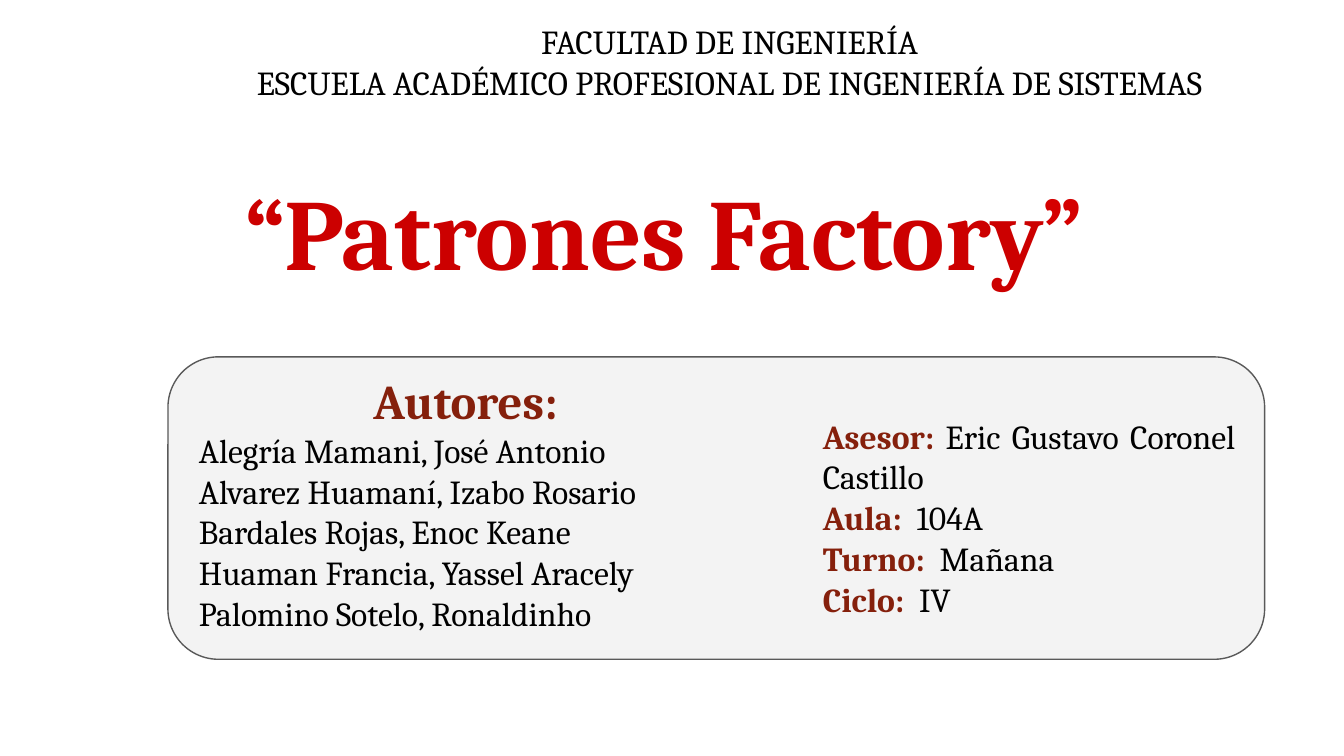
from dataclasses import dataclass

from pptx import Presentation
from pptx.dml.color import RGBColor
from pptx.enum.shapes import MSO_SHAPE as Shape
from pptx.enum.text import MSO_ANCHOR as Anchor, PP_ALIGN as Align
from pptx.slide import Slide
from pptx.util import Pt

FONT = "Cambria"
BLACK = RGBColor(0x00, 0x00, 0x00)
WHITE = RGBColor(0xFF, 0xFF, 0xFF)
RED = RGBColor(0xCC, 0x00, 0x00)
BRIGHT_RED = RGBColor(0xD5, 0x00, 0x00)
BROWN = RGBColor(0x85, 0x20, 0x0C)
PANEL_FILL = RGBColor(0xF3, 0xF3, 0xF3)
PANEL_LINE = RGBColor(0x59, 0x59, 0x59)
INSET = 7.2


@dataclass(frozen=True)
class Span:
    text: str
    color: RGBColor = BLACK
    size: float = 18
    bold: bool = False


@dataclass(frozen=True)
class Para:
    spans: tuple[Span, ...]
    align: Align = Align.CENTER
    before: float = 0


@dataclass(frozen=True)
class Area:
    left: float
    top: float
    width: float
    height: float

    def lengths(self) -> tuple[Pt, Pt, Pt, Pt]:
        return Pt(self.left), Pt(self.top), Pt(self.width), Pt(self.height)


def draw_panel(page: Slide, kind: Shape, area: Area, fill: RGBColor,
               line: RGBColor, rotation: float = 0) -> None:
    panel = page.shapes.add_shape(kind, *area.lengths())
    panel.rotation = rotation
    panel.shadow.inherit = False
    panel.fill.solid()
    panel.fill.fore_color.rgb = fill
    panel.line.color.rgb = line
    panel.line.width = Pt(0.75)


def draw_text(page: Slide, area: Area, anchor: Anchor, paras: list[Para]) -> None:
    frame = page.shapes.add_textbox(*area.lengths()).text_frame
    frame.word_wrap = True
    frame.vertical_anchor = anchor
    frame.margin_left = frame.margin_right = Pt(INSET)
    frame.margin_top = frame.margin_bottom = Pt(INSET)
    for index, para in enumerate(paras):
        paragraph = frame.add_paragraph() if index else frame.paragraphs[0]
        paragraph.alignment = para.align
        paragraph.space_before = Pt(para.before)
        for span in para.spans:
            run = paragraph.add_run()
            run.text = span.text
            run.font.name = FONT
            run.font.size = Pt(span.size)
            run.font.bold = span.bold
            run.font.color.rgb = span.color


def detail(*spans: Span) -> Para:
    return Para(spans, Align.JUSTIFY, 0.2)


HEADING = [
    "FACULTAD DE INGENIERÍA",
    "ESCUELA ACADÉMICO PROFESIONAL DE INGENIERÍA DE SISTEMAS",
]
AUTHORS = [
    "Alegría Mamani, José Antonio",
    "Alvarez Huamaní, Izabo Rosario",
    "Bardales Rojas, Enoc Keane",
    "Huaman Francia, Yassel Aracely",
    "Palomino Sotelo, Ronaldinho",
]
COURSE = [
    ("Asesor: ", "Eric Gustavo Coronel Castillo"),
    ("Aula: ", " 104A"),
    ("Turno: ", " Mañana"),
    ("Ciclo: ", " IV"),
]


def main() -> None:
    deck = Presentation()
    deck.slide_width, deck.slide_height = Pt(720), Pt(405)
    page = deck.slides.add_slide(deck.slide_layouts[6])

    # Panel behind the authors and course details
    draw_panel(page, Shape.ROUNDED_RECTANGLE, Area(90, 191.2, 587.5, 162),
               PANEL_FILL, PANEL_LINE)

    # White footer and header bands
    band = Shape.ROUND_2_SAME_RECTANGLE
    draw_panel(page, band, Area(0, 361, 720, 44), WHITE, WHITE)
    draw_panel(page, band, Area(0, -3, 720, 76.5), WHITE, WHITE, rotation=180)

    # Faculty heading
    draw_text(page, Area(90, 3, 601.8, 58.7), Anchor.BOTTOM,
              [Para((Span(line),)) for line in HEADING])

    # Title
    draw_text(page, Area(-8.5, 77.3, 728.5, 92), Anchor.MIDDLE,
              [Para((Span("“Patrones Factory", RED, 54, True),
                     Span("”", BRIGHT_RED, 54, True)))])

    # Authors
    draw_text(page, Area(99.5, 191.7, 300, 165.5), Anchor.TOP,
              [Para((Span("Autores:", BROWN, 26, True),), before=0.2)]
              + [detail(Span(author)) for author in AUTHORS])

    # Course details
    draw_text(page, Area(433.7, 202.7, 235.2, 149), Anchor.MIDDLE,
              [detail(Span(label, BROWN, bold=True), Span(value))
               for label, value in COURSE])

    deck.save("out.pptx")


if __name__ == "__main__":
    main()
